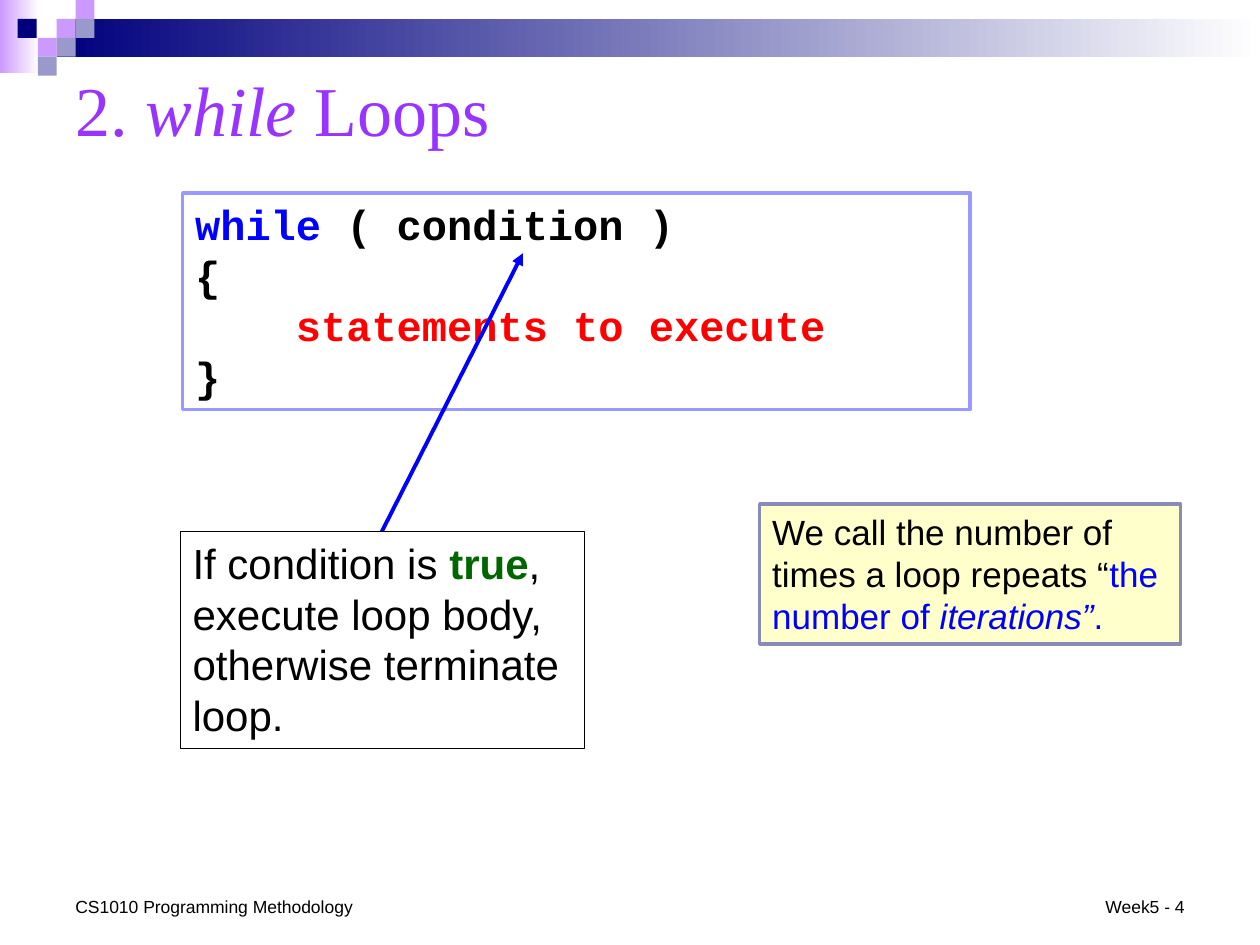
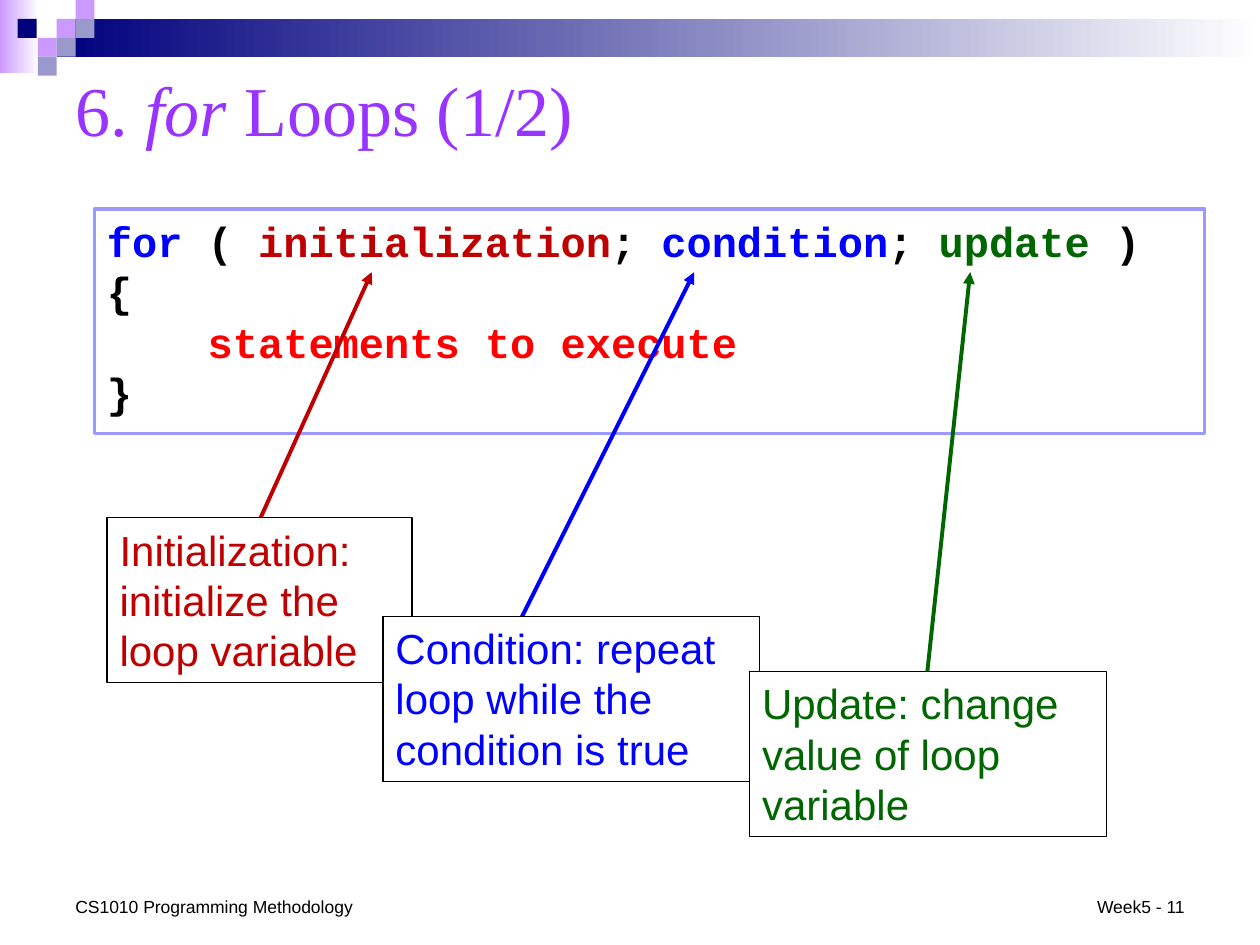
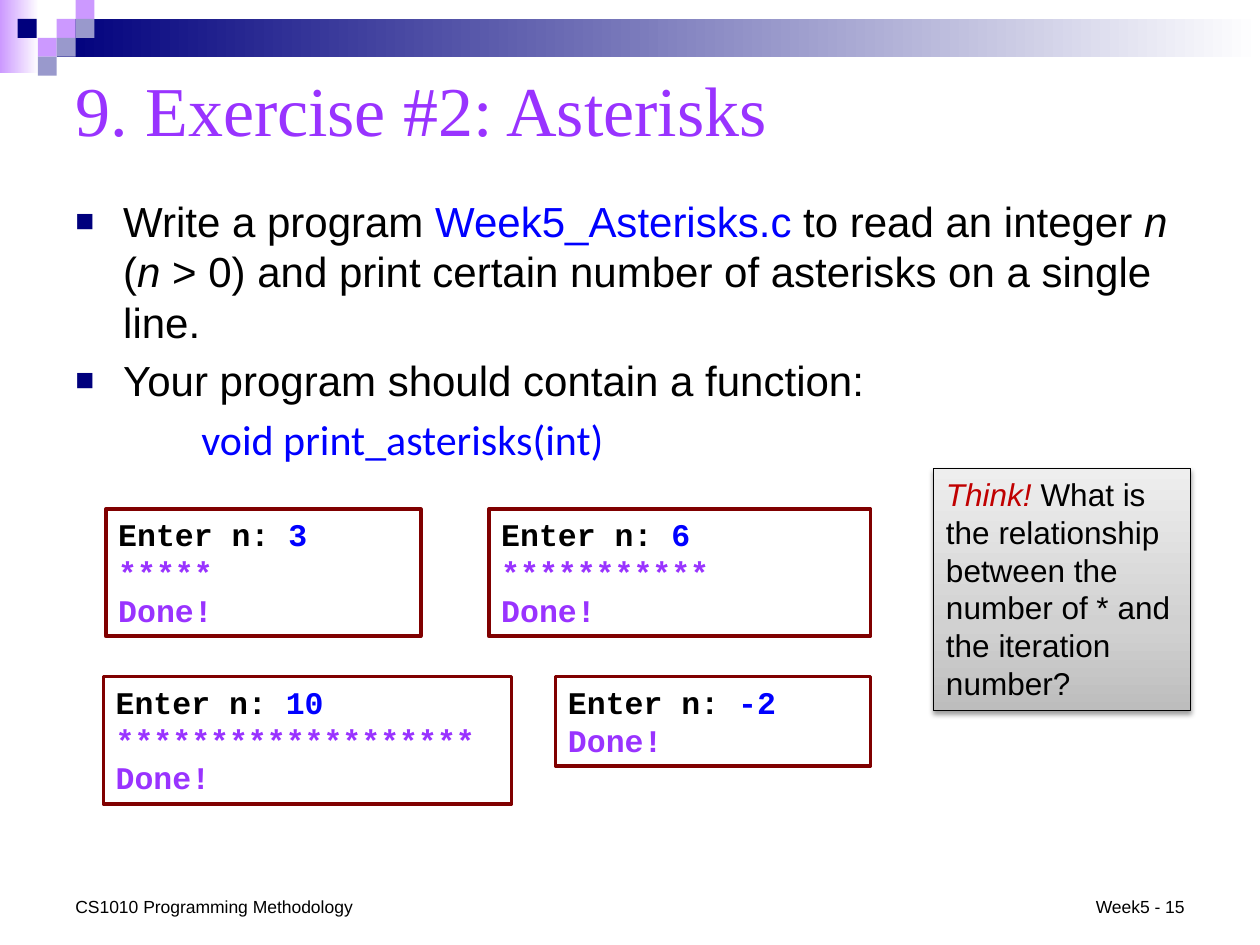
from dataclasses import dataclass

from lxml.etree import SubElement
from pptx import Presentation
from pptx.dml.color import RGBColor
from pptx.enum.shapes import MSO_CONNECTOR, MSO_SHAPE
from pptx.enum.text import MSO_ANCHOR, PP_ALIGN
from pptx.oxml.ns import qn
from pptx.util import Inches, Pt


@dataclass(frozen=True)
class Theme:
    """Colours, fonts and type sizes of the lecture."""
    black: str = "000000"
    white: str = "FFFFFF"
    navy: str = "00007D"
    lilac: str = "CC99FF"
    steel: str = "9999CC"
    purple: str = "9933FF"
    code_border: str = "9999FF"
    note_border: str = "8A8AB9"
    note_fill: str = "FFFFCC"
    maroon: str = "800000"
    blue: str = "0000FF"
    red: str = "FF0000"
    crimson: str = "C00000"
    green: str = "006600"
    think_stops: tuple = ((0, "BDBDBD"), (35, "D1D1D1"), (100, "EEEEEE"))
    sans: str = "Arial"
    serif: str = "Times New Roman"
    mono: str = "Courier New"
    signature: str = "Calibri"
    title_size: int = 40
    body_size: int = 24
    note_size: int = 20
    small_size: int = 18
    footer_size: int = 10
    leading: float = 1.2


@dataclass(frozen=True)
class Run:
    """A stretch of text with one look."""
    text: str
    color: str = Theme.black
    bold: bool = False
    italic: bool = False
    font: str = ""


class Lecture:
    """Holds the theme and the current slide, and draws each kind of element."""

    def __init__(self, theme):
        """Start a presentation on the title-only layout."""
        self.theme = theme
        self.presentation = Presentation()
        self.presentation.slide_width = Inches(10)
        self.presentation.slide_height = Inches(7.5)
        self.layout = self.presentation.slide_layouts[5]
        self.slide = None

    def add_slide(self, number, title):
        """Add a slide with its title and footers."""
        theme = self.theme
        self.slide = self.presentation.slides.add_slide(self.layout)
        shape = self.slide.shapes.title
        shape.left, shape.top = Inches(0.5), Inches(0.42)
        shape.width, shape.height = Inches(9), Inches(0.88)
        frame = shape.text_frame
        frame.vertical_anchor = MSO_ANCHOR.MIDDLE
        self.add_lines(frame, [title], theme.title_size, theme.serif, leading=None)
        self.footer(0.5, 2.42, "CS1010 Programming Methodology", PP_ALIGN.LEFT)
        self.footer(8.58, 0.92, f"Week5 - {number}", PP_ALIGN.RIGHT)

    def add_lines(self, frame, lines, size, font, leading=Theme.leading):
        """Put lines of runs into a text frame and return the paragraphs."""
        for index, line in enumerate(lines):
            paragraph = frame.paragraphs[0] if index == 0 else frame.add_paragraph()
            paragraph.alignment = PP_ALIGN.LEFT
            if leading:
                paragraph.line_spacing = Pt(size * leading)
            for item in line:
                run = paragraph.add_run()
                run.text = item.text
                run.font.name = item.font or font
                run.font.size = Pt(size)
                run.font.bold = item.bold
                run.font.italic = item.italic
                run.font.color.rgb = RGBColor.from_string(item.color)
        return frame.paragraphs

    def footer(self, left, width, text, alignment):
        """Add a footer text at the foot of the slide."""
        shape = self.slide.shapes.add_textbox(Inches(left), Inches(7.06), Inches(width), Inches(0.27))
        frame = shape.text_frame
        frame.word_wrap = alignment == PP_ALIGN.LEFT
        frame.vertical_anchor = MSO_ANCHOR.BOTTOM
        paragraphs = self.add_lines(frame, [[Run(text)]], self.theme.footer_size, self.theme.sans, leading=None)
        paragraphs[0].alignment = alignment

    def rectangle(self, shapes, at, fill, border=None, weight=0.75):
        """Add a plain rectangle without shadow."""
        shape = shapes.add_shape(MSO_SHAPE.RECTANGLE, *(Inches(length) for length in at))
        shape.shadow.inherit = False
        shape.fill.solid()
        shape.fill.fore_color.rgb = RGBColor.from_string(fill)
        if border:
            shape.line.color.rgb = RGBColor.from_string(border)
            shape.line.width = Pt(weight)
        else:
            shape.line.fill.background()
        return shape

    def gradient(self, shape, stops, angle=0):
        """Fill a shape with a linear gradient."""
        shape.fill.gradient()
        shape.fill.gradient_angle = angle
        stop_list = shape.element.spPr.find(qn("a:gradFill")).find(qn("a:gsLst"))
        for stop in list(stop_list):
            stop_list.remove(stop)
        for position, color in stops:
            stop = SubElement(stop_list, qn("a:gs"), pos=str(position * 1000))
            SubElement(stop, qn("a:srgbClr"), val=color)

    def box(self, at, lines, fill, border, weight, size, font):
        """Add a bordered box of text."""
        shape = self.rectangle(self.slide.shapes, at, fill, border, weight)
        frame = shape.text_frame
        frame.word_wrap = True
        frame.vertical_anchor = MSO_ANCHOR.TOP
        self.add_lines(frame, lines, size, font)
        return shape

    def loop_syntax(self, at, header):
        """Add the code box of a loop with its braces and indented body."""
        theme = self.theme
        lines = [header, [Run("{", bold=True)],
                 [Run("statements to execute", theme.red, bold=True)], [Run("}", bold=True)]]
        shape = self.box(at, lines, theme.white, theme.code_border, 2, theme.body_size, theme.mono)
        self.indent(shape.text_frame.paragraphs[2], 0.8)

    def callout(self, at, runs, start, end, color):
        """Add an explanation box with an arrow to the code."""
        theme = self.theme
        self.arrow(start, end, color)
        self.box(at, [runs], theme.white, theme.black, 0.75, theme.body_size, theme.sans)

    def arrow(self, start, end, color):
        """Add a straight line with an arrowhead at its end."""
        connector = self.slide.shapes.add_connector(
            MSO_CONNECTOR.STRAIGHT, *(Inches(length) for length in start + end))
        connector.line.color.rgb = RGBColor.from_string(color)
        connector.line.width = Pt(2.25)
        properties = connector.element.spPr
        SubElement(properties.find(qn("a:ln")), qn("a:tailEnd"), type="triangle")
        SubElement(properties, qn("a:effectLst"))

    def sample_run(self, at, number, stars=0):
        """Add a box showing one run of the asterisks program."""
        theme = self.theme
        output = ["*" * stars] if stars else []
        lines = [[Run("Enter n: ", bold=True), Run(str(number), theme.blue, bold=True)]]
        lines += [[Run(text, theme.purple, bold=True)] for text in output + ["Done!"]]
        self.box(at, lines, theme.white, theme.maroon, 2, theme.small_size, theme.mono)

    def think_box(self, at, runs):
        """Add the grey question box with its soft shadow."""
        theme = self.theme
        shape = self.box(at, [runs], theme.white, theme.black, 0.75, theme.small_size, theme.sans)
        self.gradient(shape, theme.think_stops, 90)
        effects = shape.element.spPr.find(qn("a:effectLst"))
        shadow = SubElement(effects, qn("a:outerShdw"), blurRad=str(Pt(3.1)), dist=str(Pt(1.6)),
                            dir="5400000", rotWithShape="0")
        color = SubElement(shadow, qn("a:srgbClr"), val=theme.black)
        SubElement(color, qn("a:alpha"), val="38000")

    def indent(self, paragraph, margin, first=0):
        """Set the left margin and first-line indent of a paragraph."""
        properties = paragraph._p.get_or_add_pPr()
        properties.set("marL", str(Inches(margin)))
        properties.set("indent", str(Inches(first)))
        return properties

    def body(self, at, bullets, signature):
        """Add bulleted text followed by an indented function signature."""
        theme = self.theme
        shape = self.slide.shapes.add_textbox(*(Inches(length) for length in at))
        shape.text_frame.word_wrap = True
        paragraphs = self.add_lines(shape.text_frame, bullets + [signature], theme.body_size, theme.sans)
        for paragraph in paragraphs:
            paragraph.space_before = Pt(theme.body_size * 0.2)
        for paragraph in paragraphs[:-1]:
            properties = self.indent(paragraph, 0.38, -0.38)
            color = SubElement(properties, qn("a:buClr"))
            SubElement(color, qn("a:srgbClr"), val=theme.navy)
            SubElement(properties, qn("a:buSzPct"), val="75000")
            SubElement(properties, qn("a:buFont"), typeface=theme.sans)
            SubElement(properties, qn("a:buChar"), char="■")
        self.indent(paragraphs[-1], 1)

    def decorate_layout(self):
        """Draw the band and squares once and put them on the shared layout."""
        theme = self.theme
        group = self.slide.shapes.add_group_shape()
        for at, color in (((0, 0, 0.31, 0.58), theme.lilac), ((0.45, 0.15, 9.55, 0.3), theme.navy)):
            band = self.rectangle(group.shapes, at, color)
            self.gradient(band, ((0, color), (100, theme.white)))
        squares = ((0.45, 0.15, theme.lilac), (0.6, 0, theme.lilac), (0.6, 0.15, theme.steel),
                   (0.3, 0.3, theme.lilac), (0.14, 0.15, theme.navy), (0.45, 0.3, theme.steel),
                   (0.3, 0.45, theme.steel))
        for left, top, color in squares:
            self.rectangle(group.shapes, (left, top, 0.15, 0.15), color)
        self.layout.shapes.element.insert(2, group.element)


def while_slide(lecture):
    """Build the slide on while loops."""
    theme = lecture.theme
    lecture.add_slide(4, [Run("2. ", theme.purple), Run("while ", theme.purple, italic=True),
                          Run("Loops", theme.purple)])
    lecture.loop_syntax((1.45, 1.53, 6.25, 1.72),
                        [Run("while", theme.blue, bold=True), Run(" ( condition )", bold=True)])
    lecture.callout((1.43, 4.22, 3.21, 1.72),
                    [Run("If condition is "), Run("true", theme.green, bold=True),
                     Run(", execute loop body, otherwise terminate loop.")],
                    (3.03, 4.22), (4.15, 2.01), theme.blue)
    lecture.box((6.03, 4, 3.34, 1.11),
                [[Run("We call the number of times a loop repeats “"), Run("the number of ", theme.blue),
                  Run("iterations”", theme.blue, italic=True), Run(".", theme.blue)]],
                theme.note_fill, theme.note_border, 2, theme.note_size, theme.sans)


def for_slide(lecture):
    """Build the slide on for loops."""
    theme = lecture.theme
    lecture.add_slide(11, [Run("6. ", theme.purple), Run("for", theme.purple, italic=True),
                           Run(" Loops (1/2)", theme.purple)])
    header = (("for", theme.blue), (" ( ", theme.black), ("initialization", theme.crimson),
              ("; ", theme.black), ("condition", theme.blue), ("; ", theme.black),
              ("update", theme.green), (" )", theme.black))
    lecture.loop_syntax((0.75, 1.66, 8.81, 1.78),
                        [Run(text, color, bold=True) for text, color in header])
    parts = (
        ("Initialization: initialize the loop variable", theme.crimson,
         (0.85, 4.11, 2.42), (2.05, 4.15), 2.95),
        ("Condition: repeat loop while the condition is true", theme.blue,
         (3.04, 4.89, 2.99), (4.08, 5.02), 5.51),
        ("Update: change value of loop variable", theme.green,
         (5.95, 5.33, 2.83), (7.36, 5.33), 7.7),
    )
    for text, color, place, start, target in parts:
        lecture.callout(place + (1.31,), [Run(text, color)], start, (target, 2.16), color)


def exercise_slide(lecture):
    """Build the slide of the asterisks exercise."""
    theme = lecture.theme
    lecture.add_slide(15, [Run("9. Exercise #2: Asterisks", theme.purple)])
    task = [Run("Write a program "), Run("Week5_Asterisks.c ", theme.blue),
            Run("to read an integer "), Run("n", italic=True), Run(" ("), Run("n", italic=True),
            Run(" > 0) and print certain number of asterisks on a single line.")]
    lecture.body((0.5, 1.5, 9, 2.28), [task, [Run("Your program should contain a function:")]],
                 [Run("void print_asterisks(int)", theme.blue, font=theme.signature)])
    lecture.sample_run((0.84, 4.04, 2.5, 1.01), 3, 5)
    lecture.sample_run((3.88, 4.04, 3.03, 1.01), 6, 11)
    lecture.sample_run((0.82, 5.37, 3.24, 1.01), 10, 19)
    lecture.sample_run((4.41, 5.37, 2.5, 0.71), -2)
    lecture.think_box((7.41, 3.72, 2.04, 1.92),
                      [Run("Think! ", theme.crimson, italic=True),
                       Run("What is the relationship between the number of * and the iteration number?")])


lecture = Lecture(Theme())
while_slide(lecture)
for_slide(lecture)
exercise_slide(lecture)
lecture.decorate_layout()
lecture.presentation.save("out.pptx")
